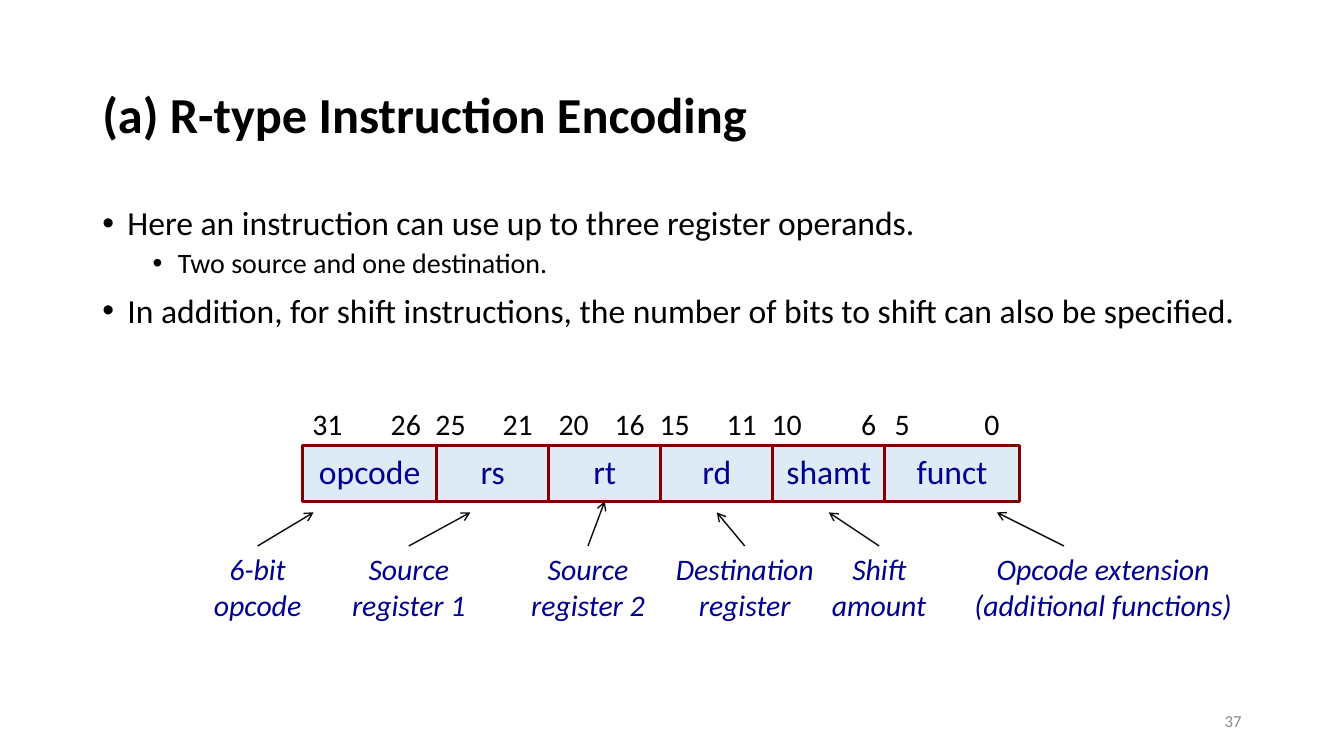
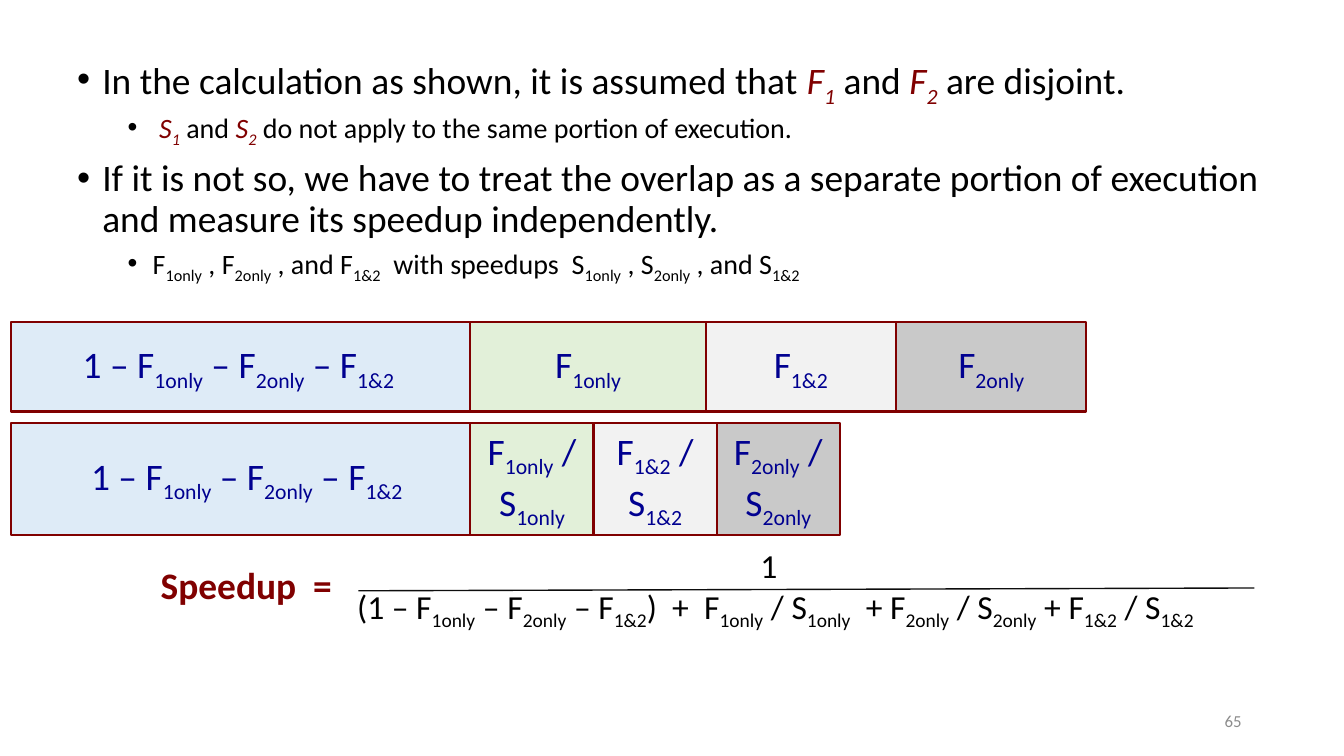
from dataclasses import dataclass
from itertools import accumulate

from lxml.etree import SubElement
from pptx import Presentation
from pptx.dml.color import RGBColor
from pptx.enum.shapes import MSO_CONNECTOR as Link, MSO_SHAPE as Preset
from pptx.enum.text import MSO_ANCHOR as Anchor, PP_ALIGN as Align
from pptx.oxml.ns import qn
from pptx.util import Pt

TOP, BOTTOM = 0, 2


@dataclass(frozen=True)
class Theme:
    font: str = "Calibri"
    bullet_font: str = "Arial"
    black: str = "000000"
    ink: str = "0D0D0D"
    navy: str = "000090"
    maroon: str = "800000"
    gray: str = "8C8C8C"
    blue_fill: str = "DEEBF7"
    green_fill: str = "E2F0D9"
    light_fill: str = "F2F2F2"
    dark_fill: str = "C9C9C9"
    title: float = 36
    large: float = 26.7
    body: float = 24
    label: float = 21.3
    sub_body: float = 20
    footer: float = 12


class SlideMaker:
    def __init__(self, theme):
        self.theme = theme
        self.deck = Presentation()
        self.deck.slide_width, self.deck.slide_height = Pt(960), Pt(540)
        self.page = None

    def new_page(self, number):
        self.page = self.deck.slides.add_slide(self.deck.slide_layouts[6])
        self.text(678, 500, 216, 29, str(number), self.theme.footer,
                  self.theme.gray, align=Align.RIGHT, anchor=Anchor.MIDDLE)

    def add_spans(self, para, text, size, color=None, bold=None, italic=None):
        """Fill a paragraph; [x] is a subscript and *x* a maroon italic."""
        font = para.font
        font.name, font.size = self.theme.font, Pt(size)
        font.bold, font.italic = bold, italic
        font.color.rgb = RGBColor.from_string(color or self.theme.black)
        for i, part in enumerate(text.split("*")):
            for j, piece in enumerate(part.replace("]", "[").split("[")):
                if not piece:
                    continue
                span = para.add_run()
                span.text = piece
                if i % 2:
                    span.font.italic = True
                    span.font.color.rgb = RGBColor.from_string(self.theme.maroon)
                if j % 2:
                    span._r.get_or_add_rPr().set("baseline", "-25000")

    def text_box(self, left, top, width, height):
        box = self.page.shapes.add_textbox(Pt(left), Pt(top), Pt(width), Pt(height))
        box.text_frame.word_wrap = True
        return box

    def text(self, left, top, width, height, text, size, color=None,
             align=Align.LEFT, anchor=Anchor.TOP, bold=None, italic=None):
        box = self.text_box(left, top, width, height)
        box.text_frame.vertical_anchor = anchor
        para = box.text_frame.paragraphs[0]
        para.alignment = align
        self.add_spans(para, text, size, color, bold, italic)
        return box

    def title(self, text):
        self.text(66, 29, 828, 104, text, self.theme.title,
                  anchor=Anchor.MIDDLE, bold=True)

    def bullets(self, left, top, width, height, items, sizes):
        """Add (level, text) items, with one type size per level."""
        frame = self.text_box(left, top, width, height).text_frame
        for i, (level, text) in enumerate(items):
            para = frame.add_paragraph() if i else frame.paragraphs[0]
            para.level = level
            props = para._p.get_or_add_pPr()
            props.set("marL", str(Pt(18 + 36 * level)))
            props.set("indent", str(Pt(-18)))
            SubElement(props, qn("a:buFont")).set("typeface", self.theme.bullet_font)
            SubElement(props, qn("a:buChar")).set("char", "•")
            para.line_spacing = 0.9
            if i:
                para.space_before = Pt((10, 5)[level])
            self.add_spans(para, text, sizes[level])

    def cell(self, left, top, width, height, text, size, fill, border, insets=(3.6, 3.6)):
        """Draw a bordered rectangle; insets are the top and bottom margins."""
        box = self.page.shapes.add_shape(
            Preset.RECTANGLE, Pt(left), Pt(top), Pt(width), Pt(height))
        box.shadow.inherit = False
        box.fill.solid()
        box.fill.fore_color.rgb = RGBColor.from_string(fill)
        box.line.color.rgb = RGBColor.from_string(self.theme.maroon)
        box.line.width = Pt(border)
        frame = box.text_frame
        frame.word_wrap = True
        frame.vertical_anchor = Anchor.MIDDLE
        frame.margin_top, frame.margin_bottom = map(Pt, insets)
        para = frame.paragraphs[0]
        para.alignment = Align.CENTER
        self.add_spans(para, text, size, self.theme.navy)
        return box

    def line(self, start, end, arrow=False):
        line = self.page.shapes.add_connector(
            Link.STRAIGHT, *map(Pt, start), *map(Pt, end))
        line.line.color.rgb = RGBColor.from_string(self.theme.ink)
        line.line.width = Pt(1)
        props = line._element.spPr
        if arrow:
            SubElement(props.find(qn("a:ln")), qn("a:tailEnd")).set("type", "arrow")
        SubElement(props, qn("a:effectLst"))
        return line


def build_encoding(maker):
    theme = maker.theme
    maker.new_page(37)
    maker.title("(a) R-type Instruction Encoding")
    maker.bullets(66, 144, 828, 343, [
        (0, "Here an instruction can use up to three register operands."),
        (1, "Two source and one destination."),
        (0, "In addition, for shift instructions, the number of bits "
            "to shift can also be specified."),
    ], (theme.body, theme.sub_body))

    # Each field: name, width, then (bit number, label left) for both ends
    fields = [
        ("opcode", 96, (31, 216), (26, 272)),
        ("rs", 80, (25, 304), (21, 352)),
        ("rt", 80, (20, 392), (16, 432)),
        ("rd", 80, (15, 464), (11, 512)),
        ("shamt", 80, (10, 544), (6, 608)),
        ("funct", 96, (5, 632), (0, 696)),
    ]
    lefts = accumulate((field[1] for field in fields), initial=216)
    cells = {}
    for left, (name, width, *bits) in zip(lefts, fields):
        cells[name] = maker.cell(left, 318, width, 40, name, theme.body,
                                 theme.blue_fill, 2, insets=(0, 3.6))
        for bit, bit_left in bits:
            maker.text(bit_left, 286, 48, 33, str(bit), theme.label)

    # Each caption: text, left, width, arrow start, arrow tip
    captions = [
        ("6-bit opcode", 128, 112, 184, 224),
        ("Source register 1", 232, 120, 292, 336),
        ("Source register 2", 360, 120, 420, 432),
        ("Destination register", 472, 120, 532, 512),
        ("Shift amount", 584, 88, 628, 592),
        ("Opcode extension (additional functions)", 680, 216, 760, 712),
    ]
    for text, left, width, start, tip in captions:
        box = maker.text(left, 390, width, 59, text, theme.label, theme.navy,
                         align=Align.CENTER, italic=True)
        arrow = maker.line((start, 390), (tip, 366), arrow=True)
        if start == left + width / 2:
            arrow.begin_connect(box, TOP)
        if text == "Source register 2":
            arrow.end_connect(cells["rt"], BOTTOM)


def build_speedup(maker):
    theme = maker.theme
    maker.new_page(65)
    maker.bullets(48, 38, 896, 184, [
        (0, "In the calculation as shown, it is assumed that "
            "*F[1]* and *F[2]* are disjoint."),
        (1, " *S[1]* and *S[2]* do not apply to the same portion of execution."),
        (0, "If it is not so, we have to treat the overlap as a separate portion "
            "of execution and measure its speedup independently."),
        (1, "F[1only] , F[2only] , and F[1&2]  with speedups  "
            "S[1only] , S[2only] , and S[1&2]"),
    ], (theme.large, theme.sub_body))

    fills = (theme.blue_fill, theme.green_fill, theme.light_fill, theme.dark_fill)
    rest = "1 – F[1only] – F[2only] – F[1&2 ]"
    parts = ("1only", "1&2", "2only")
    before = [rest] + [f"F[{part}]" for part in parts]
    after = [rest] + [f"F[{part}] / S[{part}]" for part in parts]
    # Each bar: top, height, widths, texts, how far the first cell runs under the next
    bars = [
        (230, 64, (328, 168, 136, 136), before, 0),
        (302, 80, (328, 88, 88, 88), after, 12),
    ]
    for top, height, widths, texts, overlap in bars:
        lefts = accumulate(widths, initial=8)
        for i, (left, width, text, fill) in enumerate(zip(lefts, widths, texts, fills)):
            maker.cell(left, top, width if i else width + overlap, height,
                       text, theme.large, fill, 1.5)

    formula = maker.text(248, 386, 680, 66, "1", theme.body).text_frame
    formula.paragraphs[0]._p.get_or_add_pPr().set("marL", str(Pt(288)))
    maker.add_spans(formula.add_paragraph(),
                    "(1 – F[1only] – F[2only] – F[1&2])  +  F[1only] / S[1only]  "
                    "+ F[2only] / S[2only] + F[1&2] / S[1&2]", theme.body)
    maker.line((256, 422), (896, 420))
    maker.text(104, 398, 144, 40, "Speedup  =", theme.large, theme.maroon,
               align=Align.CENTER, bold=True)


def main():
    maker = SlideMaker(Theme())
    build_encoding(maker)
    build_speedup(maker)
    maker.deck.save("out.pptx")


if __name__ == "__main__":
    main()
